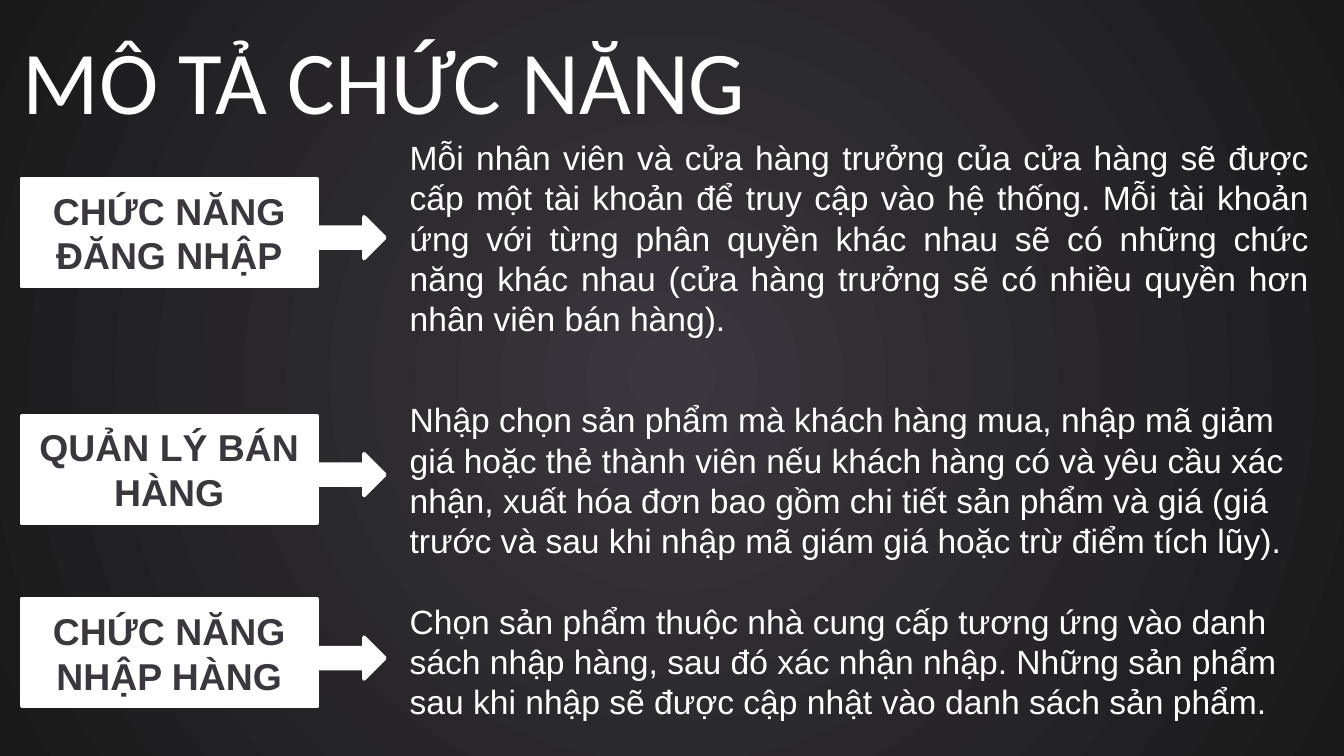
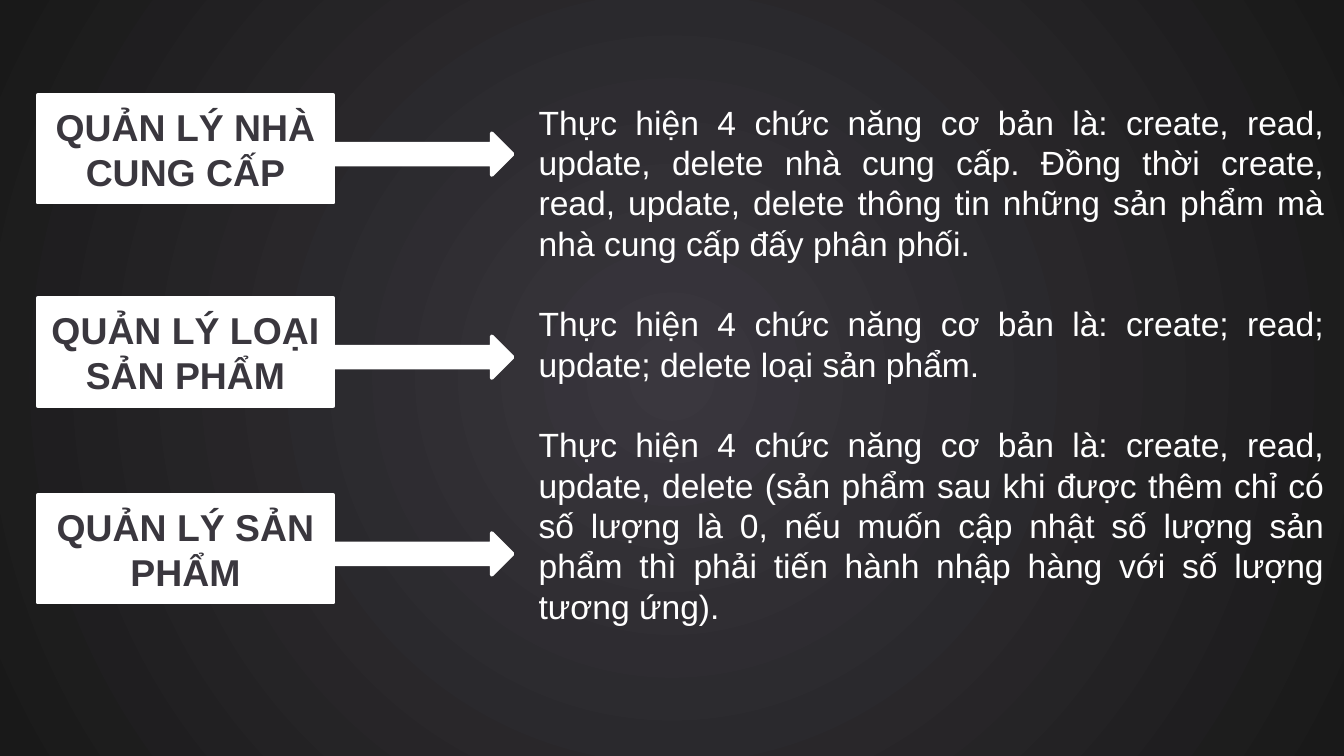
from lxml import etree
from pptx import Presentation
from pptx.dml.color import RGBColor
from pptx.enum.shapes import MSO_SHAPE as Shape
from pptx.enum.text import MSO_ANCHOR as Anchor, MSO_AUTO_SIZE as AutoSize, PP_ALIGN as Align
from pptx.oxml import parse_xml
from pptx.oxml.ns import nsdecls, qn
from pptx.util import Pt

WHITE, CHARCOAL, NEAR_BLACK = "FFFFFF", "3A373E", "191919"
BODY_FONT, TITLE_FONT = "Arial", "Calibri"
LABEL_WIDTH, LABEL_HEIGHT = 158.4, 57.6
ARROW_HEIGHT, ARROW_DROP, ARROW_OVERLAP = 22.3, 20.4, 4
TITLE_ONLY, BLANK = 5, 6

LOGIN_TEXT = (
    "Mỗi nhân viên và cửa hàng trưởng của cửa hàng sẽ được cấp một tài khoản để truy cập "
    "vào hệ thống. Mỗi tài khoản ứng với từng phân quyền khác nhau sẽ có những chức năng "
    "khác nhau (cửa hàng trưởng sẽ có nhiều quyền hơn nhân viên bán hàng).")
SALES_TEXT = (
    "Nhập chọn sản phẩm mà khách hàng mua, nhập mã giảm giá hoặc thẻ thành viên nếu khách "
    "hàng có và yêu cầu xác nhận, xuất hóa đơn bao gồm chi tiết sản phẩm và giá (giá trước "
    "và sau khi nhập mã giám giá hoặc trừ điểm tích lũy).")
STOCK_TEXT = (
    "Chọn sản phẩm thuộc nhà cung cấp tương ứng vào danh sách nhập hàng, sau đó xác nhận "
    "nhập. Những sản phẩm sau khi nhập sẽ được cập nhật vào danh sách sản phẩm.")
SUPPLIER_TEXT = (
    "Thực hiện 4 chức năng cơ bản là: create, read, update, delete nhà cung cấp. Đồng thời "
    "create, read, update, delete thông tin những sản phẩm mà nhà cung cấp đấy phân phối.")
CATEGORY_TEXT = (
    "Thực hiện 4 chức năng cơ bản là: create; read; update; delete loại sản phẩm.")
PRODUCT_TEXT = (
    "Thực hiện 4 chức năng cơ bản là: create, read, update, delete (sản phẩm sau khi được "
    "thêm chỉ có số lượng là 0, nếu muốn cập nhật số lượng sản phẩm thì phải tiến hành nhập "
    "hàng với số lượng tương ứng).")


def color(value):
    return RGBColor.from_string(value)


def style_font(para, name, size, value, bold=False):
    for span in para.runs:
        span.font.name = name
        span.font.size = Pt(size)
        span.font.bold = bold
        span.font.color.rgb = color(value)


def set_background(master):
    """Give every slide a radial gradient, lightest in the middle."""
    fill = master.background.fill
    fill.gradient()
    for stop, value in zip(fill.gradient_stops, (CHARCOAL, NEAR_BLACK)):
        stop.color.rgb = color(value)
    gradient = master.element.find(".//" + qn("a:gradFill"))
    gradient.replace(gradient.find(qn("a:lin")), parse_xml(
        f'<a:path {nsdecls("a")} path="circle">'
        '<a:fillToRect l="50000" t="50000" r="50000" b="50000"/></a:path>'))


def add_title(page, text):
    title = page.shapes.title
    title.left, title.top, title.width, title.height = Pt(5), Pt(10), Pt(715), Pt(60.5)
    frame = title.text_frame
    frame.text = text
    frame.auto_size = AutoSize.NONE
    frame.vertical_anchor = Anchor.TOP
    frame.paragraphs[0].alignment = Align.LEFT
    style_font(frame.paragraphs[0], TITLE_FONT, 48, WHITE)


def add_white_shape(page, kind, left, top, width, height):
    shape = page.shapes.add_shape(kind, Pt(left), Pt(top), Pt(width), Pt(height))
    shape.shadow.inherit = False
    shape.fill.solid()
    shape.fill.fore_color.rgb = color(WHITE)
    shape.line.color.rgb = color(WHITE)
    shape.line.width = Pt(2)
    return shape


def add_labels(page, left, arrow_width, labels):
    """Add a column of (top, text) labels, each with an arrow to its right."""
    for top, text in labels:
        label = add_white_shape(page, Shape.RECTANGLE, left, top, LABEL_WIDTH, LABEL_HEIGHT)
        frame = label.text_frame
        frame.text = text
        frame.word_wrap = True
        frame.vertical_anchor = Anchor.MIDDLE
        frame.paragraphs[0].alignment = Align.CENTER
        style_font(frame.paragraphs[0], BODY_FONT, 20, CHARCOAL, bold=True)
        add_white_shape(page, Shape.RIGHT_ARROW, left + LABEL_WIDTH - ARROW_OVERLAP,
                        top + ARROW_DROP, arrow_width, ARROW_HEIGHT)


def add_descriptions(page, left, top, width, height, items):
    """Add one box of (text, alignment, space before) paragraphs."""
    box = page.shapes.add_textbox(Pt(left), Pt(top), Pt(width), Pt(height))
    frame = box.text_frame
    frame.word_wrap = True
    frame.text = "\n".join(text for text, _, _ in items)
    for para, (_, alignment, gap) in zip(frame.paragraphs, items):
        para.alignment = alignment
        para.space_before = Pt(gap)
        style_font(para, BODY_FONT, 18, WHITE)


def main():
    deck = Presentation()
    deck.slide_width, deck.slide_height = Pt(720), Pt(405)
    set_background(deck.slide_master)

    page = deck.slides.add_slide(deck.slide_layouts[TITLE_ONLY])
    add_descriptions(page, 212.4, 69.8, 496, 323.3, [
        (LOGIN_TEXT, Align.JUSTIFY, 0),
        (SALES_TEXT, Align.LEFT, 32.5),
        (STOCK_TEXT, Align.LEFT, 21.6)])
    add_title(page, "MÔ TẢ CHỨC NĂNG")
    add_labels(page, 11.5, 40.3, [
        (95.8, "CHỨC NĂNG ĐĂNG NHẬP"),
        (222.7, "QUẢN LÝ BÁN HÀNG"),
        (321, "CHỨC NĂNG NHẬP HÀNG")])

    page = deck.slides.add_slide(deck.slide_layouts[BLANK])
    add_descriptions(page, 281.5, 51, 435, 291, [
        (SUPPLIER_TEXT, Align.JUSTIFY, 0),
        (CATEGORY_TEXT, Align.JUSTIFY, 21.6),
        (PRODUCT_TEXT, Align.JUSTIFY, 21.6)])
    add_labels(page, 20.2, 100, [
        (51, "QUẢN LÝ NHÀ CUNG CẤP"),
        (159.8, "QUẢN LÝ LOẠI SẢN PHẨM"),
        (265.2, "QUẢN LÝ SẢN PHẨM")])

    deck.save("out.pptx")


if __name__ == "__main__":
    main()
